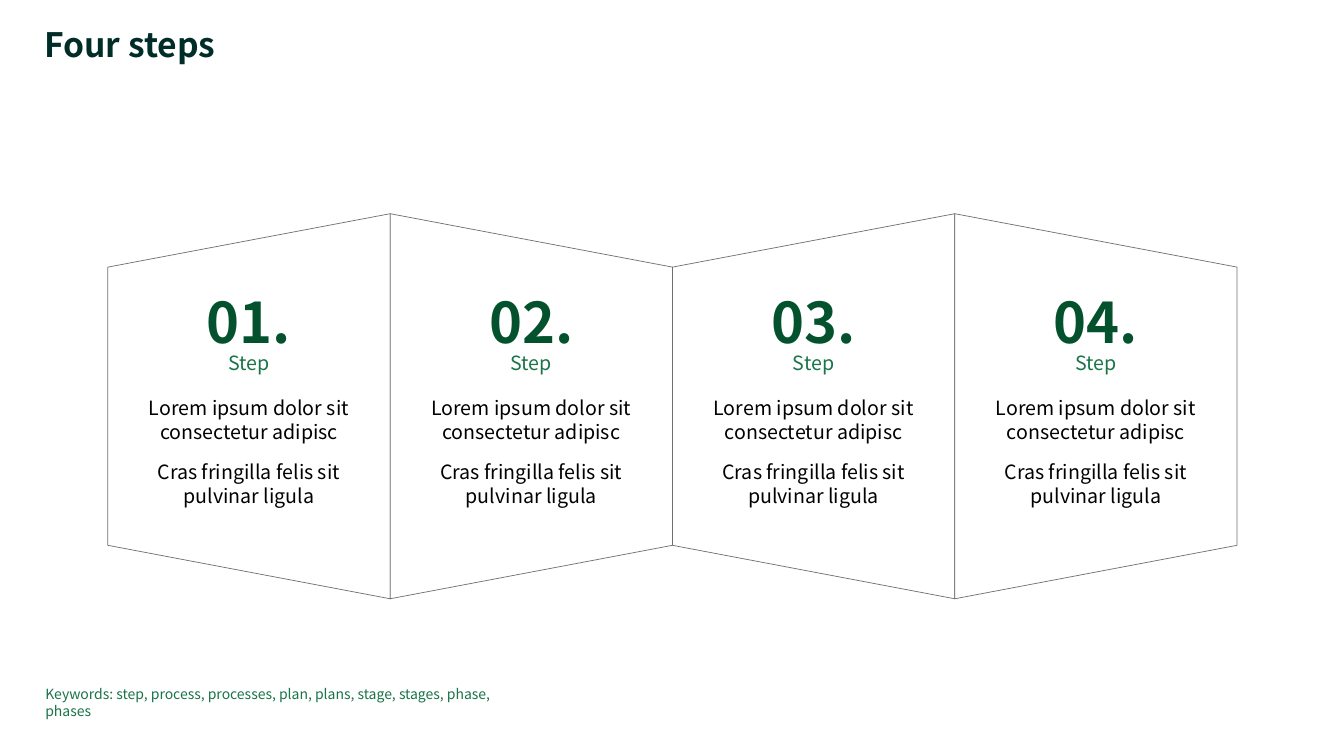
from copy import deepcopy

from pptx import Presentation
from pptx.dml.color import RGBColor
from pptx.enum.text import MSO_ANCHOR, MSO_AUTO_SIZE, PP_ALIGN
from pptx.oxml.ns import qn
from pptx.util import Inches, Pt

FONT = "Noto Sans CJK JP"
TITLE_COLOR = "002D28"
NUMBER_COLOR = "03522D"
LABEL_COLOR = "1A7449"
BODY_COLOR = "000000"
PANEL_FILL = "FFFFFF"
PANEL_LINE = "6E6F73"

STEP_COUNT = 4
PANEL_LEFT = 1.07
PANEL_WIDTH = 2.8
PEAK_TOP, PEAK_BOTTOM = 2.12, 5.94
FOLD_TOP, FOLD_BOTTOM = 2.65, 5.41
TEXT_MARGIN = 0.2
TEXT_WIDTH = PANEL_WIDTH - 2 * TEXT_MARGIN
STEP_TEXT = ["Lorem ipsum dolor sit\nconsectetur adipisc",
             "Cras fringilla felis sit\npulvinar ligula"]


def color(hex_string):
    return RGBColor.from_string(hex_string)


def write(frame, paragraphs, size, fill, bold=False, align=PP_ALIGN.LEFT,
          gap=0, line_spacing=None):
    """Fill a text frame; gap is the space in points between paragraphs."""
    frame.word_wrap = True
    frame.auto_size = MSO_AUTO_SIZE.NONE
    frame.vertical_anchor = MSO_ANCHOR.TOP
    frame.margin_left = frame.margin_right = 0
    frame.margin_top = frame.margin_bottom = 0
    for index, text in enumerate(paragraphs):
        para = frame.add_paragraph() if index else frame.paragraphs[0]
        para.text = text
        para.alignment = align
        para.space_before = Pt(gap if index else 0)
        if line_spacing:
            para.line_spacing = line_spacing
        for span in para.runs:
            span.font.name = FONT
            span.font.size = Pt(size)
            span.font.bold = bold
            span.font.color.rgb = color(fill)
        # A line break needs the run format too, or it keeps the default size.
        for line_break in para._p.findall(qn("a:br")):
            line_break.append(deepcopy(para.runs[0]._r.rPr))


class SlideBuilder:
    def __init__(self, deck):
        self.page = deck.slides.add_slide(deck.slide_layouts.get_by_name("Title Only"))

    def title(self, text, left, top, width, height):
        box = self.page.shapes.title
        box.left, box.top = Inches(left), Inches(top)
        box.width, box.height = Inches(width), Inches(height)
        write(box.text_frame, [text], 24, TITLE_COLOR, bold=True, line_spacing=0.9)

    def text(self, paragraphs, left, top, width, height, **style):
        box = self.page.shapes.add_textbox(
            Inches(left), Inches(top), Inches(width), Inches(height))
        write(box.text_frame, paragraphs, **style)

    def panel(self, points):
        corners = [(Inches(x), Inches(y)) for x, y in points]
        builder = self.page.shapes.build_freeform(*corners[0])
        builder.add_line_segments(corners[1:], close=True)
        shape = builder.convert_to_shape()
        shape.shadow.inherit = False
        shape.fill.solid()
        shape.fill.fore_color.rgb = color(PANEL_FILL)
        shape.line.color.rgb = color(PANEL_LINE)
        shape.line.width = Pt(0.5)

    def step(self, index):
        """Draw one folded panel; its tall edge alternates between right and left."""
        left = PANEL_LEFT + index * PANEL_WIDTH
        right = left + PANEL_WIDTH
        peak, fold = (right, left) if index % 2 == 0 else (left, right)
        self.panel([(peak, PEAK_TOP), (peak, PEAK_BOTTOM),
                    (fold, FOLD_BOTTOM), (fold, FOLD_TOP)])

        text_left = left + TEXT_MARGIN
        center = PP_ALIGN.CENTER
        self.text([f"{index + 1:02d}."], text_left, 2.85, TEXT_WIDTH, 0.69,
                  size=40, fill=NUMBER_COLOR, bold=True, align=center)
        self.text(["Step"], text_left, 3.48, TEXT_WIDTH, 0.24,
                  size=14, fill=LABEL_COLOR, align=center)
        self.text(STEP_TEXT, text_left, 3.93, TEXT_WIDTH, 1.11,
                  size=14, fill=BODY_COLOR, align=center, gap=12)


def main():
    deck = Presentation()
    deck.slide_width, deck.slide_height = Inches(13.33), Inches(7.5)
    slide = SlideBuilder(deck)
    slide.title("Four steps", 0.44, 0.28, 11.03, 0.37)
    for index in range(STEP_COUNT):
        slide.step(index)
    slide.text(["Keywords: step, process, processes, plan, plans, stage, stages, phase, phases"],
               0.45, 6.8, 4.87, 0.17, size=10, fill=LABEL_COLOR)
    deck.save("out.pptx")


if __name__ == "__main__":
    main()
